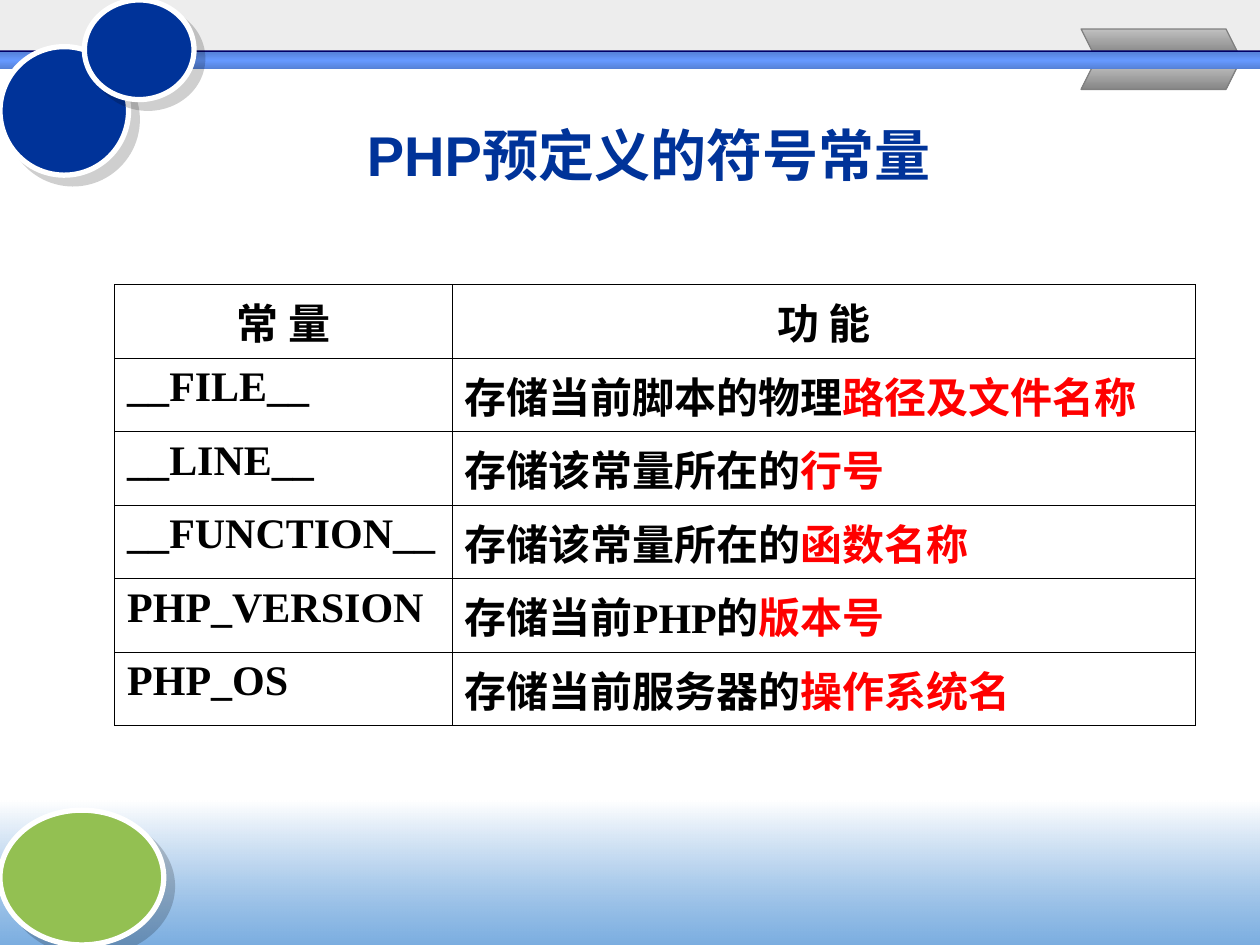
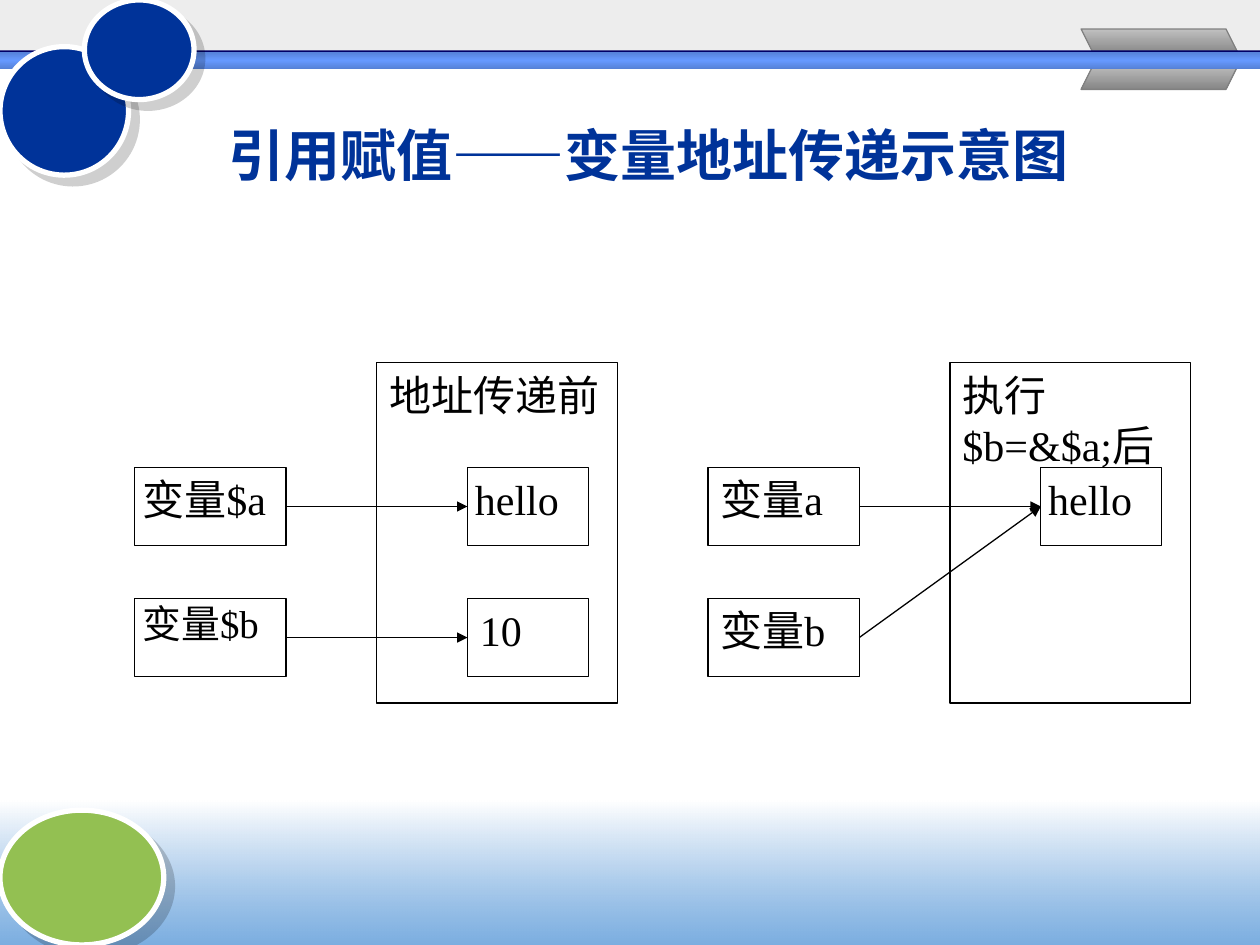
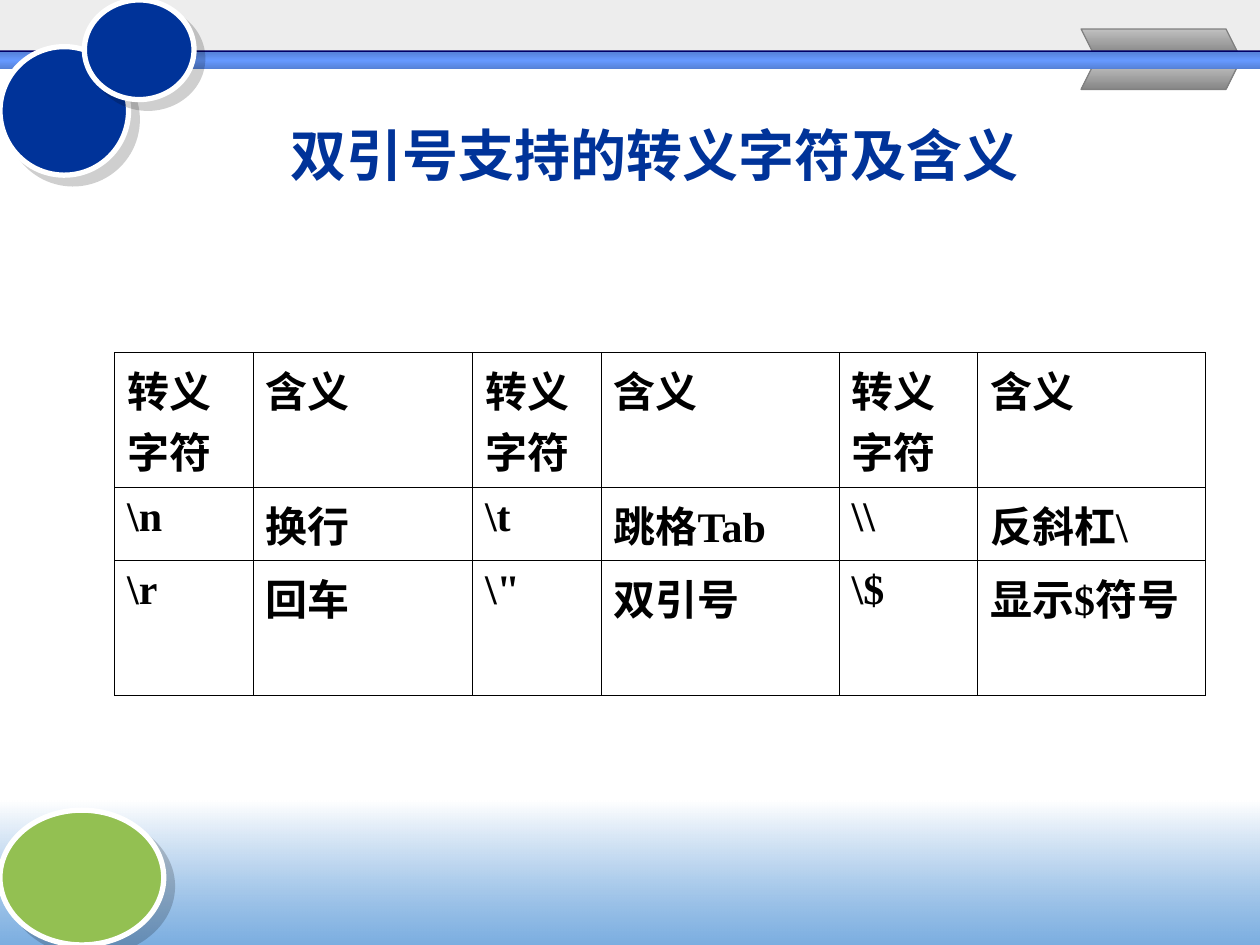
from pptx import Presentation
from pptx.dml.color import RGBColor as Rgb
from pptx.enum.lang import MSO_LANGUAGE_ID as Lang
from pptx.enum.shapes import MSO_CONNECTOR as Conn, MSO_SHAPE as Kind
from pptx.enum.text import MSO_ANCHOR as Anchor, PP_ALIGN as Align
from pptx.oxml import parse_xml
from pptx.oxml.ns import nsdecls
from pptx.util import Inches, Pt

HUES = {
    "ink": "000000", "white": "FFFFFF", "red": "FF0000", "blue": "003399",
    "navy": "000066", "green": "93C052", "pale": "EAEAEA", "sky": "5E9CDA",
    "edge": "5580D5", "mid": "6699FF", "grey": "808080", "light": "C0C0C0",
    "dark": "868686",
}
NS = nsdecls("a")
SERIF = "Times New Roman"

# Text after a bar is red
TERMS = [
    ("常 量", "功 能"),
    ("__FILE__", "存储当前脚本的物理|路径及文件名称"),
    ("__LINE__", "存储该常量所在的|行号"),
    ("__FUNCTION__", "存储该常量所在的|函数名称"),
    ("PHP_VERSION", "存储当前PHP的|版本号"),
    ("PHP_OS", "存储当前服务器的|操作系统名"),
]
# Cells are parted by spaces
CODES = r"""转义字符 含义 转义字符 含义 转义字符 含义
\n 换行 \t 跳格Tab \\ 反斜杠\
\r 回车 \" 双引号 \$ 显示$符号"""


def rgb(hue):
    return Rgb.from_string(HUES[hue])


def tint(hue, alpha=100):
    return (f'<a:srgbClr val="{HUES[hue]}"><a:alpha val="{alpha * 1000}"/>'
            '</a:srgbClr>')


def style(para, size, hue="ink", bold=False, face=SERIF):
    for run in para.runs:
        font = run.font
        font.size, font.bold, font.name = Pt(size), bold, face
        font.color.rgb = rgb(hue)
        font.language_id = Lang.SIMPLIFIED_CHINESE


def paint(shape, fill, line=None, width=0.75):
    """Fill with one hue, or with a list of (position, hue, alpha) stops."""
    shape.shadow.inherit = False
    if isinstance(fill, str):
        shape.fill.solid()
        shape.fill.fore_color.rgb = rgb(fill)
    else:
        shape.fill.background()
        old = shape._element.spPr.find("{*}noFill")
        stops = "".join(f'<a:gs pos="{pos * 1000}">{tint(hue, alpha)}</a:gs>'
                        for pos, hue, alpha in fill)
        old.getparent().replace(old, parse_xml(
            f'<a:gradFill {NS} rotWithShape="1"><a:gsLst>{stops}</a:gsLst>'
            '<a:lin ang="5400000" scaled="0"/></a:gradFill>'))
    if line:
        shape.line.color.rgb = rgb(line)
        shape.line.width = Pt(width)
    else:
        shape.line.fill.background()
    return shape


def add(slide, kind, spot, fill, line=None, width=0.75):
    shape = slide.shapes.add_shape(kind, *map(Inches, spot))
    return paint(shape, fill, line, width)


def disc(slide, spot, hue):
    shape = add(slide, Kind.OVAL, spot, hue, "white", 3)
    shape._element.spPr.find("{*}effectLst").append(parse_xml(
        f'<a:outerShdw {NS} blurRad="0" dist="{Pt(7.1)}" dir="2700000" '
        f'algn="ctr" rotWithShape="0">{tint("ink", 19)}</a:outerShdw>'))
    return shape


def flag(slide, outer, inner):
    """Draw half of the ribbon; lengths are hundredths of an inch."""
    pts = [(973, outer), (983, inner), (868, inner), (858, outer)]
    form = slide.shapes.build_freeform(*pts[0], scale=Inches(0.01))
    form.add_line_segments(pts[1:], close=True)
    paint(form.convert_to_shape(), [(0, "light", 100), (100, "dark", 100)],
          "grey")


def start(deck, title):
    """Add a slide with the shared backdrop and its title."""
    slide = deck.slides.add_slide(deck.slide_layouts[6])
    # Top and bottom bands
    top = add(slide, Kind.RECTANGLE, (0, 0, 10, 0.52), "pale")
    top._element.spPr.find("{*}solidFill")[0].append(
        parse_xml(f'<a:alpha {NS} val="81000"/>'))
    add(slide, Kind.RECTANGLE, (0, 6.35, 10, 1.15),
        [(0, "white", 100), (100, "sky", 81)])
    # Grey ribbon, blue bar and discs
    flag(slide, 23, 43)
    flag(slide, 71, 51)
    disc(slide, (0, 6.43, 1.3, 1.07), "green")
    add(slide, Kind.RECTANGLE, (0, 0.4, 10, 0.14), "navy")
    add(slide, Kind.RECTANGLE, (0, 0.41, 10, 0.14),
        [(0, "edge", 100), (50, "mid", 100), (100, "edge", 100)])
    disc(slide, (0, 0.37, 1.02, 1.02), "blue").rotation = 26.8
    disc(slide, (0.67, 0, 0.87, 0.79), "blue")
    # Title
    box = slide.shapes.add_textbox(*map(Inches, (1.38, 0.84, 7.64, 0.77)))
    frame = box.text_frame
    frame.word_wrap, frame.vertical_anchor = True, Anchor.MIDDLE
    frame.text = title
    frame.paragraphs[0].alignment = Align.CENTER
    style(frame.paragraphs[0], 32, "blue", True, "Arial")
    return slide


def frame_cell(cell):
    for side in "LRTB":
        cell._tc.get_or_add_tcPr().append(parse_xml(
            f'<a:ln{side} {NS} w="{Pt(0.45)}"><a:solidFill>{tint("ink")}'
            f'</a:solidFill></a:ln{side}>'))
    cell.fill.background()


def grid(slide, top, rows, cols, highs, mid_head=False):
    spot = map(Inches, (0.91, top, sum(cols), sum(highs)))
    table = slide.shapes.add_table(len(rows), len(cols), *spot).table
    table.first_row = table.horz_banding = False
    for col, wide in zip(table.columns, cols):
        col.width = Inches(wide)
    for r, (row, high) in enumerate(zip(rows, highs)):
        table.rows[r].height = Inches(high)
        for c, text in enumerate(row):
            cell = table.cell(r, c)
            frame_cell(cell)
            para = cell.text_frame.paragraphs[0]
            for part in text.split("|"):
                para.add_run().text = part
            style(para, 24, bold=True)
            for run in para.runs[1:]:
                run.font.color.rgb = rgb("red")
            if mid_head and r == 0:
                para.alignment = Align.CENTER


def box(slide, spot, text, pad=0.1, size=24):
    shape = add(slide, Kind.RECTANGLE, spot, "white", "ink")
    frame = shape.text_frame
    frame.word_wrap, frame.vertical_anchor = True, Anchor.TOP
    frame.margin_left = frame.margin_right = Inches(pad)
    frame.text = text
    para = frame.paragraphs[0]
    para.alignment = Align.LEFT
    if size < 24:
        para.line_spacing = 0.9
    style(para, size)


def arrow(slide, *ends):
    link = slide.shapes.add_connector(Conn.STRAIGHT, *map(Inches, ends))
    link.line.color.rgb = rgb("ink")
    link.line.width = Pt(0.75)
    link.line._get_or_add_ln().append(
        parse_xml(f'<a:tailEnd {NS} type="triangle"/>'))
    link._element.spPr.append(parse_xml(f'<a:effectLst {NS}/>'))


def memory(slide, left, head, names, values, links):
    """Variables on the left point at values inside a memory frame."""
    tops, high = (3.71, 4.75), 0.62
    box(slide, (left + 1.92, 2.88, 1.91, 2.7), head)
    for top, (text, pad) in zip(tops, values):
        box(slide, (left + 2.64, top, 0.96, high), text, pad)
    for top, name in zip(tops, names):
        box(slide, (left, top, 1.2, high), *name)
    for src, dst in links:
        arrow(slide, left + 1.2, tops[src] + high / 2,
              left + 2.64, tops[dst] + high / 2)


def main():
    deck = Presentation()
    deck.slide_width, deck.slide_height = Inches(10), Inches(7.5)

    # Constants
    slide = start(deck, "PHP预定义的符号常量 ")
    grid(slide, 2.26, TERMS, (2.68, 5.9), [3.5 / 6] * 6, True)

    # Reference diagram
    slide = start(deck, "引用赋值——变量地址传递示意图 ")
    memory(slide, 1.07, "地址传递前",
           [("变量$a", 0.06), ("变量$b", 0.06, 22.2)],
           [("hello", 0.06), ("10", 0.1)], [(0, 0), (1, 1)])
    memory(slide, 5.62, "执行$b=&$a;后", [("变量a",), ("变量b",)],
           [("hello", 0.06)], [(0, 0), (1, 0)])

    # Escape codes
    slide = start(deck, " 双引号支持的转义字符及含义 ")
    rows = [line.split() for line in CODES.splitlines()]
    grid(slide, 2.8, rows, (1.1, 1.74, 1.02, 1.89, 1.1, 1.81),
         (1.07, 0.58, 1.07))

    deck.save("out.pptx")


if __name__ == "__main__":
    main()
